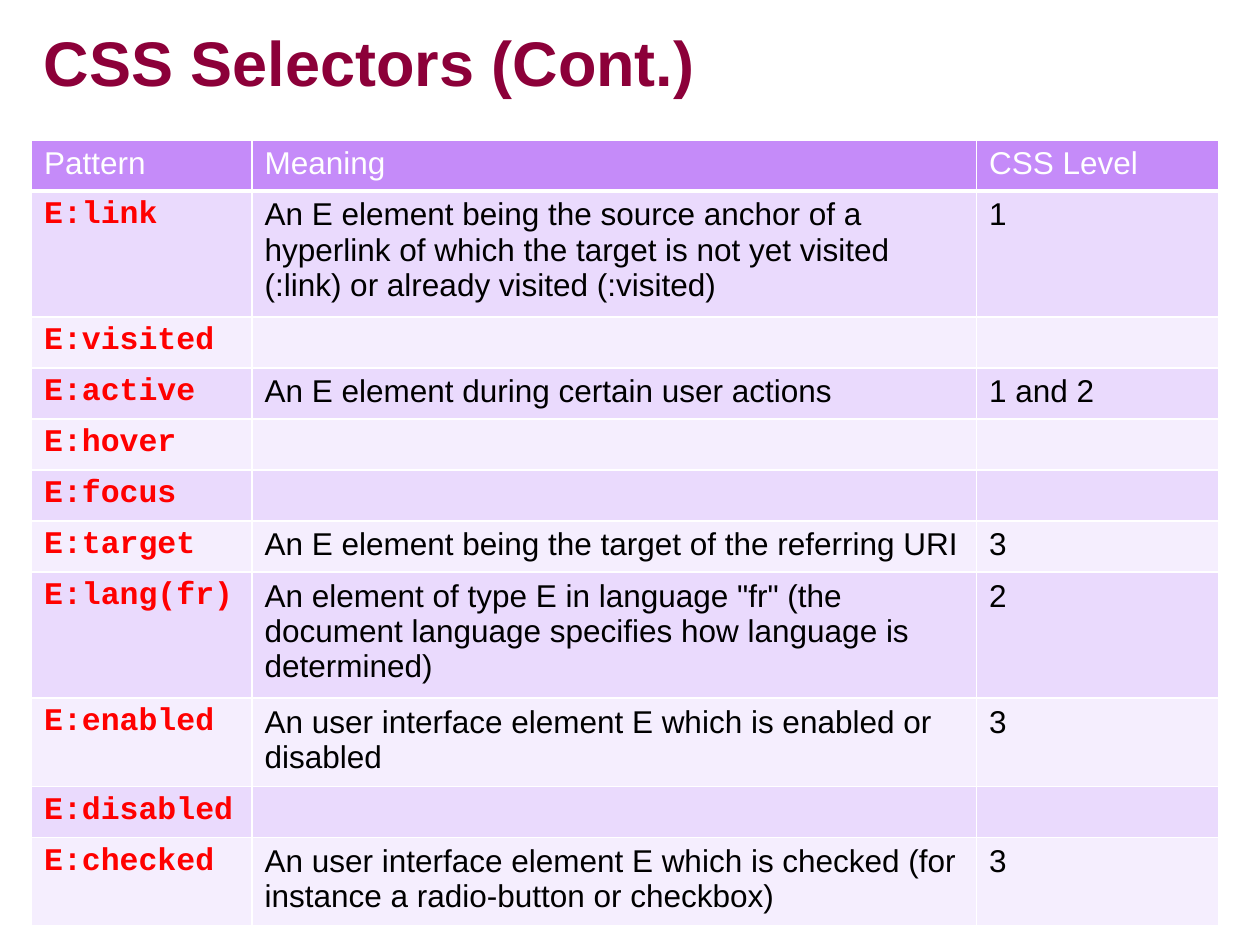
from lxml import etree
from pptx import Presentation
from pptx.dml.color import RGBColor
from pptx.enum.text import MSO_ANCHOR
from pptx.oxml.ns import qn
from pptx.util import Inches, Pt

MIDDLE = MSO_ANCHOR.MIDDLE
COLORS = {
    "title": "8C0039", "head": "C58BF9", "odd": "EADAFD", "even": "F5EEFE",
    "code": "FF0000", "text": "000000", "white": "FFFFFF",
}
SANS, MONO = "Arial", "Courier New"
COLS = (1.75, 5.75, 1.92)
HEAD = ("Pattern", "Meaning", "CSS Level")
ROWS = (
    ("E:link", "An E element being the source anchor of a hyperlink of which "
     "the target is not yet visited (:link) or already visited (:visited)", "1"),
    ("E:visited", "", ""),
    ("E:active", "An E element during certain user actions", "1 and 2"),
    ("E:hover", "", ""),
    ("E:focus", "", ""),
    ("E:target", "An E element being the target of the referring URI", "3"),
    ("E:lang(fr)", "An element of type E in language \"fr\" (the document "
     "language specifies how language is determined)", "2"),
    ("E:enabled", "An user interface element E which is enabled or disabled", "3"),
    ("E:disabled", "", ""),
    ("E:checked", "An user interface element E which is checked (for instance "
     "a radio-button or checkbox)", "3"),
)


def add_run(para, text, size, color, font=SANS, bold=False):
    run = para.add_run()
    run.text = text
    run.font.size = Pt(size)
    run.font.name = font
    run.font.bold = bold
    run.font.color.rgb = RGBColor.from_string(COLORS[color])


def add_edges(cell, base):
    props = cell._tc.get_or_add_tcPr()
    for side, width in (("L", 1), ("R", 1), ("T", 1), ("B", base)):
        line = etree.SubElement(props, qn(f"a:ln{side}"), w=str(Pt(width)))
        fill = etree.SubElement(line, qn("a:solidFill"))
        etree.SubElement(fill, qn("a:srgbClr"), val=COLORS["white"])


def add_title(slide, box):
    frame = slide.shapes.add_textbox(*map(Inches, box)).text_frame
    frame.word_wrap = True
    frame.vertical_anchor = MIDDLE
    add_run(frame.paragraphs[0], "CSS Selectors (Cont.)", 36, "title", bold=True)


def add_grid(slide, box):
    data = (HEAD,) + ROWS
    table = slide.shapes.add_table(len(data), len(COLS), *map(Inches, box)).table
    for col, share in zip(table.columns, COLS):
        col.width = Inches(box[2] * share / sum(COLS))
    for r, row in enumerate(data):
        shade = "head" if r == 0 else "odd" if r % 2 else "even"
        for c, text in enumerate(row):
            cell = table.cell(r, c)
            add_edges(cell, 3 if r == 0 else 1)
            cell.fill.solid()
            cell.fill.fore_color.rgb = RGBColor.from_string(COLORS[shade])
            para = cell.text_frame.paragraphs[0]
            if r == 0:
                add_run(para, text, 18, "white")
            elif c == 0:
                add_run(para, text, 18, "code", MONO, True)
            elif text:
                add_run(para, text, 18, "text")


def main():
    deck = Presentation()
    deck.slide_width, deck.slide_height = Inches(10), Inches(7.5)
    slide = deck.slides.add_slide(deck.slide_layouts[6])
    left, width = 0.25, sum(COLS)
    add_title(slide, (left, 0, width, 0.98))
    add_grid(slide, (left, 1.11, width, 4.46))
    deck.save("out.pptx")


if __name__ == "__main__":
    main()
